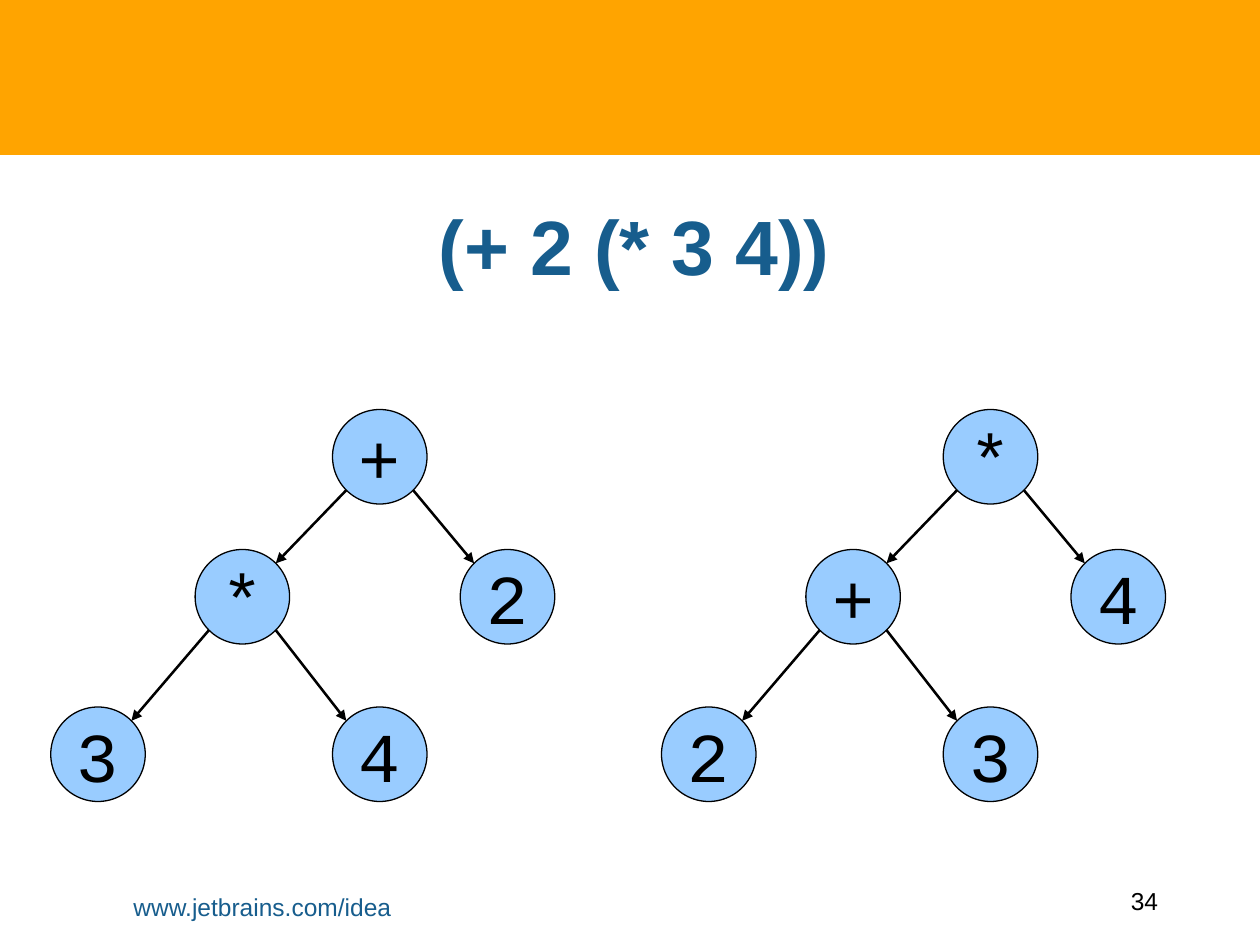
from math import sqrt

from lxml.etree import SubElement
from pptx import Presentation
from pptx.dml.color import RGBColor
from pptx.enum.shapes import MSO_CONNECTOR, MSO_SHAPE
from pptx.enum.text import MSO_ANCHOR, PP_ALIGN
from pptx.oxml.ns import qn
from pptx.util import Pt

COLORS = {"banner": "FFA400", "heading": "175D8D", "node": "99CCFF", "ink": "000000"}
DIAMETER = 54
RIM_INSET = DIAMETER * (1 - 1 / sqrt(2)) / 2
TREE_SHIFT = 349
NODE_POSITIONS = {
    "root": (190, 234),
    "left": (111.5, 314),
    "right": (263, 314),
    "left_left": (29, 404),
    "left_right": (190, 404),
}
EDGES = [
    ("root", "left"),
    ("root", "right"),
    ("left", "left_left"),
    ("left", "left_right"),
]
TREES = [
    {"root": "+", "left": "*", "right": "2", "left_left": "3", "left_right": "4"},
    {"root": "*", "left": "+", "right": "4", "left_left": "2", "left_right": "3"},
]


def color(name):
    return RGBColor.from_string(COLORS[name])


def write_text(shape, text, size, font_name, color_name, bold=False, anchor=MSO_ANCHOR.TOP, wrap=True):
    frame = shape.text_frame
    frame.word_wrap = wrap
    frame.vertical_anchor = anchor
    paragraph = frame.paragraphs[0]
    paragraph.alignment = PP_ALIGN.CENTER
    run = paragraph.add_run()
    run.text = text
    run.font.size = Pt(size)
    run.font.name = font_name
    run.font.bold = bold
    run.font.color.rgb = color(color_name)


def add_label(slide, left, top, width, height, text, size, color_name, **style):
    shape = slide.shapes.add_textbox(Pt(left), Pt(top), Pt(width), Pt(height))
    write_text(shape, text, size, "Arial", color_name, **style)


def add_banner(slide):
    shape = slide.shapes.add_shape(MSO_SHAPE.RECTANGLE, 0, 0, Pt(720), Pt(88.5))
    shape.shadow.inherit = False
    shape.fill.solid()
    shape.fill.fore_color.rgb = color("banner")
    shape.line.fill.background()


def add_node(group, left, top, symbol):
    shape = group.shapes.add_shape(
        MSO_SHAPE.OVAL, Pt(left), Pt(top), Pt(DIAMETER), Pt(DIAMETER)
    )
    shape.shadow.inherit = False
    shape.fill.solid()
    shape.fill.fore_color.rgb = color("node")
    shape.line.color.rgb = color("ink")
    shape.line.width = Pt(0)
    write_text(shape, symbol, 40, "Courier New", "ink", anchor=MSO_ANCHOR.MIDDLE, wrap=False)


def add_arrow(group, parent, child):
    near, far = RIM_INSET, DIAMETER - RIM_INSET
    start_x, end_x = (near, far) if child[0] < parent[0] else (far, near)
    connector = group.shapes.add_connector(
        MSO_CONNECTOR.STRAIGHT,
        Pt(parent[0] + start_x),
        Pt(parent[1] + far),
        Pt(child[0] + end_x),
        Pt(child[1] + near),
    )
    connector.line.color.rgb = color("ink")
    connector.line.width = Pt(1.45)
    SubElement(connector.line._get_or_add_ln(), qn("a:tailEnd"), type="triangle")
    SubElement(connector._element.spPr, qn("a:effectLst"))


def add_tree(slide, shift, symbols):
    group = slide.shapes.add_group_shape()
    positions = {name: (left + shift, top) for name, (left, top) in NODE_POSITIONS.items()}
    for name, (left, top) in positions.items():
        add_node(group, left, top, symbols[name])
    for parent, child in EDGES:
        add_arrow(group, positions[parent], positions[child])


def main():
    presentation = Presentation()
    presentation.slide_width = Pt(720)
    presentation.slide_height = Pt(540)
    slide = presentation.slides.add_slide(presentation.slide_layouts[6])
    add_banner(slide)
    add_label(slide, 625, 502.5, 58, 24.5, "34", 14, "ink")
    add_label(slide, 36, 506, 228, 34, "www.jetbrains.com/idea", 14, "heading")
    add_label(slide, 65, 109.5, 595, 60.5, "(+ 2 (* 3 4))", 44, "heading",
              bold=True, anchor=MSO_ANCHOR.MIDDLE)
    for index, symbols in enumerate(TREES):
        add_tree(slide, index * TREE_SHIFT, symbols)
    presentation.save("out.pptx")


if __name__ == "__main__":
    main()
